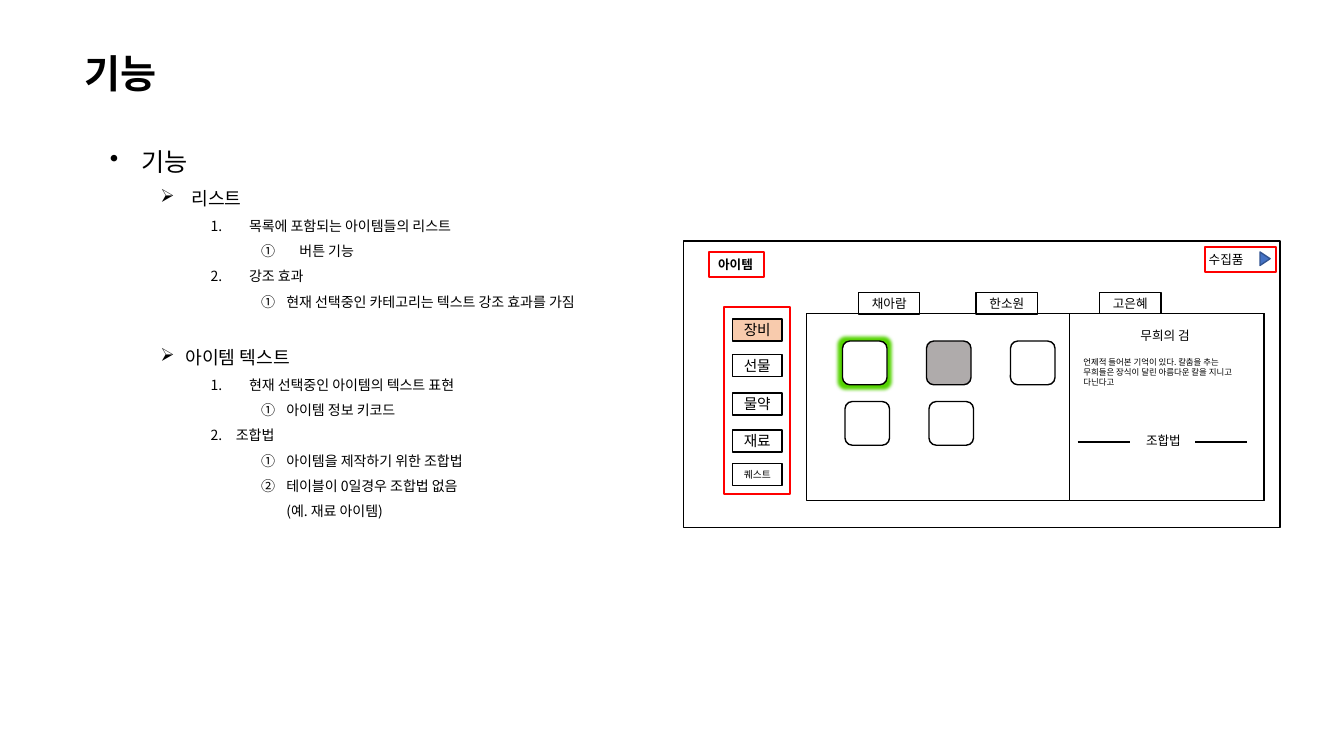
from lxml import etree
from pptx import Presentation
from pptx.dml.color import RGBColor
from pptx.enum.shapes import MSO_CONNECTOR, MSO_SHAPE
from pptx.enum.text import MSO_ANCHOR, MSO_AUTO_SIZE, PP_ALIGN
from pptx.oxml.ns import qn
from pptx.util import Inches, Pt

RECT, ROUND = MSO_SHAPE.RECTANGLE, MSO_SHAPE.ROUNDED_RECTANGLE
TRIANGLE = MSO_SHAPE.ISOSCELES_TRIANGLE
STRAIGHT = MSO_CONNECTOR.STRAIGHT
LEFT, CENTER = PP_ALIGN.LEFT, PP_ALIGN.CENTER
MIDDLE = MSO_ANCHOR.MIDDLE
GROW = MSO_AUTO_SIZE.SHAPE_TO_FIT_TEXT

COLORS = {
    "black": "000000", "white": "FFFFFF", "red": "FF0000", "peach": "F8CBAD",
    "gray": "AFABAB", "blue": "4472C4", "navy": "325491", "green": "55D400",
}
HEAD, BODY = "Lato", "Noto Sans CJK KR"
COLS, ROWS = 160, 90


class Page:
    def __init__(self, deck):
        self.slide = deck.slides.add_slide(deck.slide_layouts[6])
        self.shapes = self.slide.shapes
        self.col = deck.slide_width / COLS
        self.row = deck.slide_height / ROWS

    def place(self, x, y, w, h):
        """Turn columns and rows into slide lengths."""
        return (round(x * self.col), round(y * self.row),
                round(w * self.col), round(h * self.row))

    def color(self, name):
        return RGBColor.from_string(COLORS[name])

    def style(self, par, size, font=BODY, bold=False, align=LEFT):
        par.alignment = align
        par.font.name, par.font.size, par.font.bold = font, Pt(size), bold
        par.font.color.rgb = self.color("black")

    def frame(self, box):
        area = self.shapes.add_textbox(*self.place(*box)).text_frame
        area.word_wrap, area.auto_size = True, GROW
        return area

    def text(self, text, box, size, **look):
        par = self.frame(box).paragraphs[0]
        par.text = text
        self.style(par, size, **look)

    def shape(self, box, kind=RECT, fill=None, line="black", width=1):
        item = self.shapes.add_shape(kind, *self.place(*box))
        item.shadow.inherit = False
        if fill:
            item.fill.solid()
            item.fill.fore_color.rgb = self.color(fill)
        else:
            item.fill.background()
        item.line.color.rgb = self.color(line)
        item.line.width = Pt(width)
        return item

    def button(self, text, box, size, fill="white"):
        area = self.shape(box, fill=fill).text_frame
        area.word_wrap, area.vertical_anchor = False, MIDDLE
        area.paragraphs[0].text = text
        self.style(area.paragraphs[0], size, align=CENTER)

    def glow(self, item, name, radius):
        effects = item._element.spPr.find(qn("a:effectLst"))
        halo = etree.SubElement(effects, qn("a:glow"), rad=str(Pt(radius)))
        etree.SubElement(halo, qn("a:srgbClr"), val=COLORS[name])

    def rule(self, x, y, w):
        left, top, width, _ = self.place(x, y, w, 0)
        line = self.shapes.add_connector(STRAIGHT, left, top, left + width, top)
        line.line.color.rgb = self.color("black")
        line.line.width = Pt(1)
        etree.SubElement(line._element.spPr, qn("a:effectLst"))

    def outline(self, items, box):
        """Write a nested list of (level, indent, hang, text, space before)."""
        marks = [("buChar", "char", "•"), ("buChar", "char", "➢"),
                 ("buAutoNum", "type", "arabicPeriod"),
                 ("buAutoNum", "type", "circleNumDbPlain")]
        sizes = [18, 13, 10, 10]
        area = self.frame(box)
        for i, (level, indent, hang, text, gap) in enumerate(items):
            par = area.add_paragraph() if i else area.paragraphs[0]
            par.text, par.level, par.line_spacing = text, level, 1.5
            if gap:
                par.space_before = Pt(gap)
            props = par._p.get_or_add_pPr()
            props.set("marL", str(Inches(indent)))
            props.set("indent", str(-Inches(hang)))
            tag, key, mark = marks[level]
            etree.SubElement(props, qn("a:" + tag), {key: mark})
            self.style(par, sizes[level])


def main():
    deck = Presentation()
    deck.slide_width, deck.slide_height = Inches(13.33), Inches(7.5)
    page = Page(deck)

    page.text("기능", (8.9, 5.3, 32.8, 6.8), 28, font=HEAD, bold=True)
    page.outline([
        (0, 0.31, 0.31, "기능", 0),
        (1, 0.81, 0.31, "리스트", 0),
        (2, 1.38, 0.38, "목록에 포함되는 아이템들의 리스트", 0),
        (3, 1.88, 0.38, "버튼 기능", 0),
        (2, 1.38, 0.38, "강조 효과", 0),
        (3, 1.75, 0.25, "현재 선택중인 카테고리는 텍스트 강조 효과를 가짐", 0),
        (1, 0.75, 0.25, "아이템 텍스트", 18),
        (2, 1.38, 0.38, "현재 선택중인 아이템의 텍스트 표현", 0),
        (3, 1.75, 0.25, "아이템 정보 키코드", 0),
        (2, 1.25, 0.25, "조합법", 0),
        (3, 1.75, 0.25, "아이템을 제작하기 위한 조합법", 0),
        (3, 1.75, 0.25, "테이블이 0일경우 조합법 없음\n(예. 재료 아이템)", 0),
    ], (11.9, 15, 62.9, 48))

    # Window and item panel
    page.shape((81.4, 28.7, 71, 34.1))
    page.text("아이템", (83.9, 30, 7.3, 3), 9, bold=True, align=CENTER)
    page.text("수집품", (142.3, 29.4, 7.3, 3), 9, align=CENTER)
    page.shape((96, 37.3, 54.5, 22.3))

    menu = [("장비", 38), ("선물", 42.2), ("물약", 46.8), ("재료", 51.2),
            ("퀘스트", 55.2)]
    for i, (name, y) in enumerate(menu):
        page.button(name, (87.2, y, 5.9, 2.6), 7 if len(name) > 2 else 10.5,
                    "white" if i else "peach")
    for name, x in [("채아람", 102.2), ("한소원", 116.2), ("고은혜", 130.9)]:
        page.button(name, (x, 34.8, 7.3, 2.6), 9)

    for i, fill in enumerate(["white", "gray", "white", "white", "white"]):
        row, col = divmod(i, 3)
        slot = page.shape((100.3 + 10 * col + 0.3 * row, 40.6 + 7.2 * row,
                           5.3, 5.2), ROUND, fill)
        if i == 0:
            page.glow(slot, "green", 5)

    arrow = page.shape((149.8, 30.2, 1.6, 1.2), TRIANGLE, "blue", "navy")
    arrow.rotation = 90

    # Item details
    page.shape((127.3, 37.3, 23.2, 22.3), fill="white")
    page.text("무희의 검", (133.9, 38.5, 9.6, 3), 9, align=CENTER)
    page.text("언제적 들어본 기억이 있다. 칼춤을 추는 무희들은 장식이 달린 "
              "아름다운 칼을 지니고 다닌다고", (127.8, 41.9, 22, 4.8), 6)
    page.text("조합법", (134.9, 51, 7.2, 3), 9, align=CENTER)
    for x in (128.3, 142.3):
        page.rule(x, 52.6, 6.2)

    # Highlights
    for box in [(84.4, 30, 6.6, 3), (143.5, 29.4, 8.4, 3),
                (86.2, 36.5, 7.9, 22.3)]:
        page.shape(box, line="red", width=1.5)

    deck.save("out.pptx")


if __name__ == "__main__":
    main()
